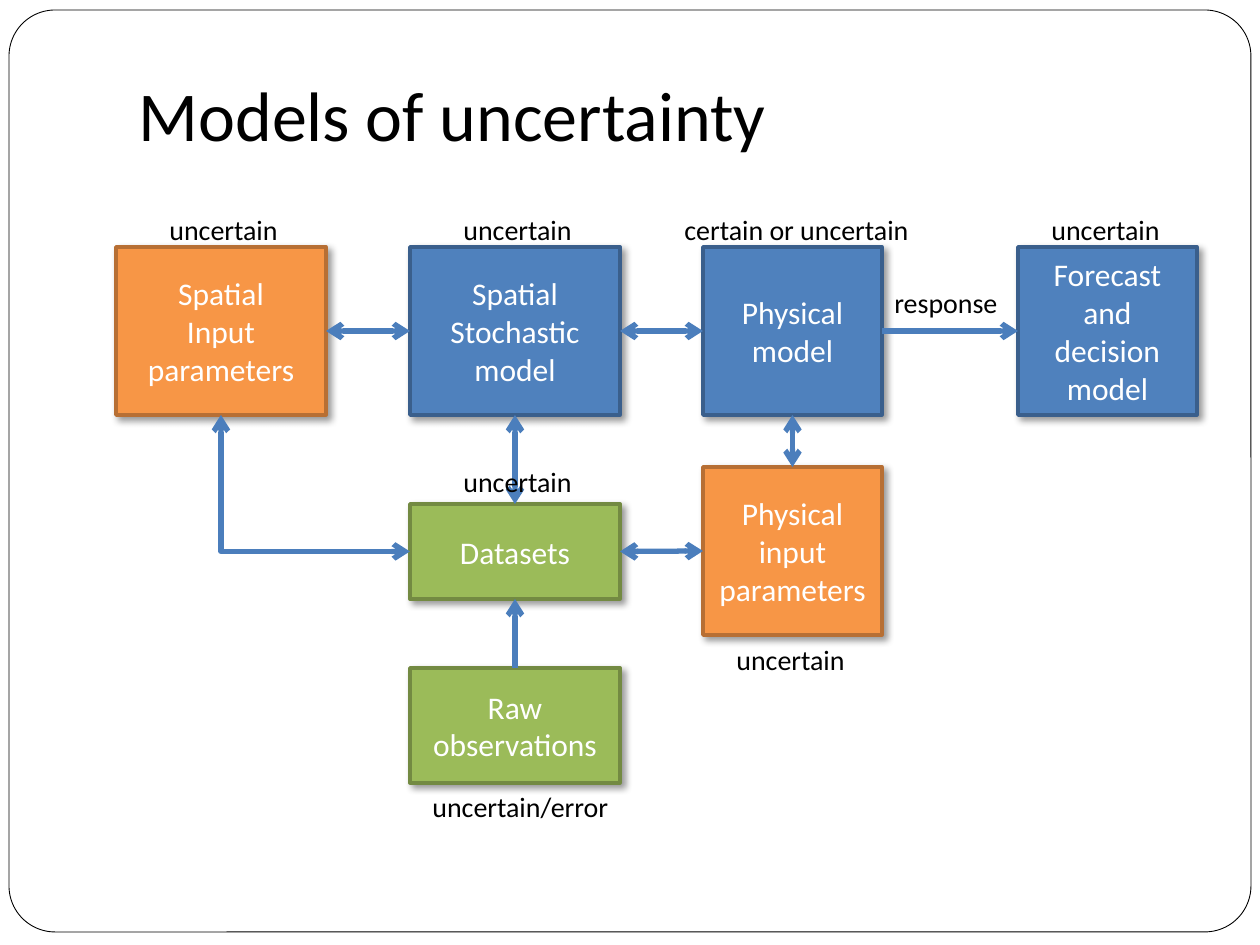
from lxml import etree
from pptx import Presentation
from pptx.dml.color import RGBColor
from pptx.enum.shapes import MSO_CONNECTOR, MSO_SHAPE
from pptx.enum.text import MSO_ANCHOR, MSO_AUTO_SIZE, PP_ALIGN
from pptx.oxml.ns import qn
from pptx.util import Emu, Inches, Pt

RECTANGLE, ROUNDED = MSO_SHAPE.RECTANGLE, MSO_SHAPE.ROUNDED_RECTANGLE
STRAIGHT, ELBOW = MSO_CONNECTOR.STRAIGHT, MSO_CONNECTOR.ELBOW
LEFT, CENTER = PP_ALIGN.LEFT, PP_ALIGN.CENTER
TOP_SITE, LEFT_SITE, BOTTOM_SITE, RIGHT_SITE = range(4)
EMU_PER_PX = 914400 / 126
FONT = "Calibri"

COLORS = {
    "black": "000000", "white": "FFFFFF", "arrow": "4B7EBC",
    "model": "4F81BD", "model edge": "3A5F8C",
    "input": "F79646", "input edge": "B76F34",
    "data": "9BBB59", "data edge": "738A42",
}

# Content
TITLE = "Models of uncertainty"
COLUMNS = [(116, 210), (410, 210), (703, 179), (1018, 179)]  # left, width
# name: (column, top, height, kind, paragraphs)
BOXES = {
    "physical": (2, 247, 168, "model", ["Physical model"]),
    "stochastic": (1, 247, 168, "model", ["Spatial", "Stochastic", "model"]),
    "spatial input": (0, 247, 168, "input", ["Spatial", "Input parameters"]),
    "forecast": (3, 247, 168, "model", ["Forecast and decision model"]),
    "physical input": (2, 467, 168, "input", ["Physical", "input parameters"]),
    "raw": (1, 668, 115, "data", ["Raw", "observations"]),
    "datasets": (1, 504, 95, "data", ["Datasets"]),
}
# start box, start side, end box, end side, arrowheads at both ends
LINKS = [
    ("spatial input", RIGHT_SITE, "stochastic", LEFT_SITE, True),
    ("stochastic", RIGHT_SITE, "physical", LEFT_SITE, True),
    ("physical input", TOP_SITE, "physical", BOTTOM_SITE, True),
    ("physical", RIGHT_SITE, "forecast", LEFT_SITE, False),
    ("raw", TOP_SITE, "datasets", BOTTOM_SITE, False),
    ("datasets", LEFT_SITE, "spatial input", BOTTOM_SITE, True),
    ("datasets", RIGHT_SITE, "physical input", LEFT_SITE, True),
    ("datasets", TOP_SITE, "stochastic", BOTTOM_SITE, True),
]
# text, left, top, width
LABELS = [
    ("response", 882, 279, 130),
    ("uncertain", 157, 206, 135),
    ("uncertain", 724, 636, 135),
    ("uncertain", 451, 206, 135),
    ("certain or uncertain", 672, 206, 256),
    ("uncertain/error", 420, 783, 207),
    ("uncertain", 1039, 206, 135),
    ("uncertain", 451, 458, 135),
]
LABEL_HEIGHT = 47


def px(value):
    return Emu(round(value * EMU_PER_PX))


def color(name):
    return RGBColor.from_string(COLORS[name])


def write(frame, lines, size, color_name, alignment):
    for index, line in enumerate(lines):
        paragraph = frame.paragraphs[0] if index == 0 else frame.add_paragraph()
        paragraph.alignment = alignment
        run = paragraph.add_run()
        run.text = line
        run.font.name = FONT
        run.font.size = Pt(size)
        run.font.color.rgb = color(color_name)


def add_box(slide, preset, bounds, fill, edge, edge_width):
    shape = slide.shapes.add_shape(preset, *map(px, bounds))
    shape.shadow.inherit = False
    shape.fill.solid()
    shape.fill.fore_color.rgb = color(fill)
    shape.line.color.rgb = color(edge)
    shape.line.width = Pt(edge_width)
    return shape


def add_shadow(shape):
    effects = shape._element.spPr.find(qn("a:effectLst"))
    shadow = etree.SubElement(effects, qn("a:outerShdw"), blurRad=str(Pt(4)),
                              dist=str(Pt(3)), dir="2700000", rotWithShape="0")
    tint = etree.SubElement(shadow, qn("a:srgbClr"), val=COLORS["black"])
    etree.SubElement(tint, qn("a:alpha"), val="40000")


def add_link(slide, start, start_site, end, end_site, both_ends):
    bent = start_site == LEFT_SITE and end_site == BOTTOM_SITE
    link = slide.shapes.add_connector(ELBOW if bent else STRAIGHT, 0, 0, 0, 0)
    link.begin_connect(start, start_site)
    link.end_connect(end, end_site)
    link.line.color.rgb = color("arrow")
    link.line.width = Pt(3)
    properties = link._element.spPr
    if bent:
        properties.find(qn("a:prstGeom")).set("prst", "bentConnector2")
    for tag in ["a:headEnd", "a:tailEnd"] if both_ends else ["a:tailEnd"]:
        etree.SubElement(properties.find(qn("a:ln")), qn(tag), type="arrow")
    etree.SubElement(properties, qn("a:effectLst"))


def main():
    presentation = Presentation()
    presentation.slide_width, presentation.slide_height = Inches(10), Inches(7.5)
    slide = presentation.slides.add_slide(presentation.slide_layouts[5])

    # Title
    title = slide.shapes.title
    title.left, title.top, title.width, title.height = map(px, (126, 10, 1071, 158))
    frame = title.text_frame
    frame.auto_size = MSO_AUTO_SIZE.NONE
    frame.vertical_anchor = MSO_ANCHOR.BOTTOM
    frame.margin_bottom = Inches(0.1)
    write(frame, [TITLE], 40, "black", LEFT)

    # Rounded page frame, behind everything
    page = add_box(slide, ROUNDED, (9, 10, 1242, 922), "white", "black", 0.5)
    page.adjustments[0] = 0.05
    slide.shapes._spTree.insert(2, page._element)

    # Boxes
    boxes = {}
    for name, (column, top, height, kind, lines) in BOXES.items():
        left, width = COLUMNS[column]
        box = add_box(slide, RECTANGLE, (left, top, width, height),
                      kind, kind + " edge", 2)
        add_shadow(box)
        box.text_frame.vertical_anchor = MSO_ANCHOR.MIDDLE
        write(box.text_frame, lines, 18, "white", CENTER)
        boxes[name] = box

    # Arrows
    for start, start_site, end, end_site, both_ends in LINKS:
        add_link(slide, boxes[start], start_site, boxes[end], end_site, both_ends)

    # Labels
    for text, left, top, width in LABELS:
        label = slide.shapes.add_textbox(*map(px, (left, top, width, LABEL_HEIGHT)))
        label.text_frame.word_wrap = False
        label.text_frame.auto_size = MSO_AUTO_SIZE.SHAPE_TO_FIT_TEXT
        write(label.text_frame, [text], 16, "black", LEFT)

    presentation.save("out.pptx")


if __name__ == "__main__":
    main()
